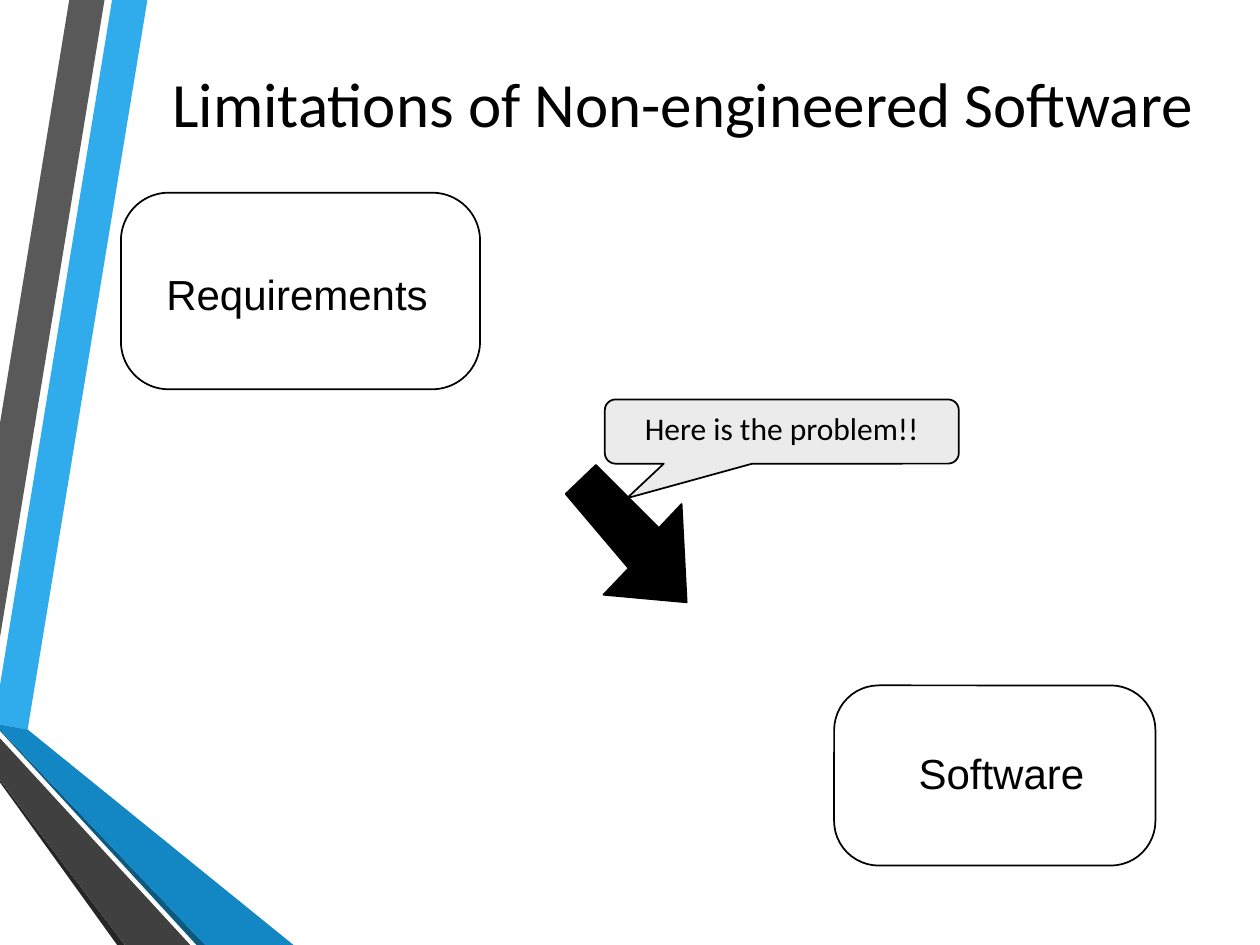
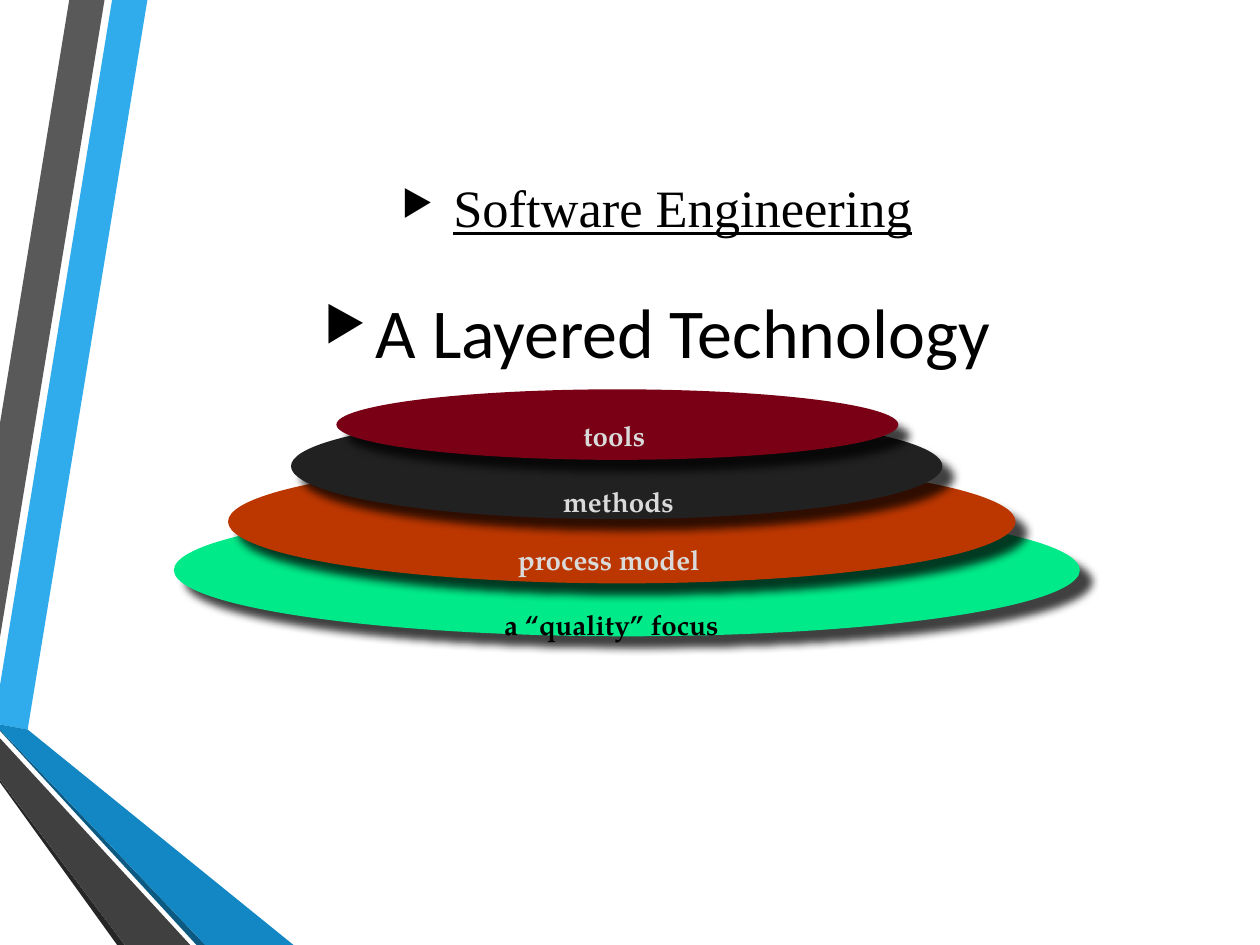
from lxml import etree
from pptx import Presentation
from pptx.dml.color import RGBColor
from pptx.enum.shapes import MSO_SHAPE as SHAPE
from pptx.enum.text import MSO_ANCHOR as ANCHOR, MSO_AUTO_SIZE as AUTO, PP_ALIGN as ALIGN
from pptx.oxml import parse_xml
from pptx.oxml.ns import nsdecls, qn
from pptx.util import Inches, Pt

COLORS = {
    "black": "000000", "white": "FFFFFF", "callout": "EBEBEB", "label": "DADADA",
    "sky": "30ACEC", "blue": "1287C3", "navy": "0C5A82",
    "gray": "595959", "charcoal": "404040", "coal": "262626",
    "green": "01EA89", "orange": "BC3700", "ink": "212121", "maroon": "790015",
}
BANDS = [
    ("sky", [(0, 5.44), (0, 5.75), (0.22, 5.79), (1.17, 0), (0.89, 0)]),
    ("gray", [(0.83, 0), (0.55, 0), (0, 3.36), (0, 5.06)]),
    ("coal", [(0, 6.19), (0, 6.21), (0.93, 7.5), (0.99, 7.5)]),
    ("navy", [(0, 5.79), (0, 5.8), (1.56, 7.5), (1.63, 7.5)]),
    ("blue", [(0, 5.79), (1.63, 7.5), (2.33, 7.5), (0.22, 5.79), (0, 5.75)]),
    ("charcoal", [(0, 6.19), (0.99, 7.5), (1.51, 7.5), (0, 5.86)]),
]
ARROW = [(0, 0.23), (0.24, 0), (0.74, 0.5), (0.92, 0.31), (0.96, 1.09), (0.3, 1.03), (0.5, 0.82)]


def rgb(name):
    """Look up a palette colour."""
    return RGBColor.from_string(COLORS[name])


def inches(*values):
    """Convert several lengths at once."""
    return [Inches(v) for v in values]


def paint(sp, fill, line=None):
    """Give a shape a flat fill and an optional thin outline."""
    sp.shadow.inherit = False
    sp.fill.solid()
    sp.fill.fore_color.rgb = rgb(fill)
    if line:
        sp.line.color.rgb = rgb(line)
        sp.line.width = Pt(1)
    else:
        sp.line.fill.background()
    return sp


def shape(s, kind, box, fill, line=None, adj=()):
    """Add a painted preset shape."""
    sp = paint(s.shapes.add_shape(kind, *inches(*box)), fill, line)
    for i, value in enumerate(adj):
        sp.adjustments[i] = value
    return sp


def polygon(s, points, fill, x=0, y=0, line=None):
    """Add a closed outline whose points are measured from x, y."""
    start, *rest = [inches(x + px, y + py) for px, py in points]
    builder = s.shapes.build_freeform(*start)
    builder.add_line_segments(rest, close=True)
    return paint(builder.convert_to_shape(), fill, line)


def add_bullet(p):
    """Give a paragraph a black triangle bullet and a hanging indent."""
    pPr = p._p.get_or_add_pPr()
    pPr.set("marL", str(Inches(0.41)))
    pPr.set("indent", str(Inches(-0.41)))
    clr = etree.SubElement(pPr, qn("a:buClr"))
    etree.SubElement(clr, qn("a:srgbClr"), val=COLORS["black"])
    etree.SubElement(pPr, qn("a:buSzPct"), val="68000")
    etree.SubElement(pPr, qn("a:buChar"), char="▶")


def write(sp, text, size=18, font="Calibri", color="black", bold=False, underline=False,
          align=ALIGN.LEFT, anchor=ANCHOR.TOP, wrap=True, margins=(0.1, 0.05, 0.1, 0.05),
          spacing=None, bullet=False):
    """Write one formatted paragraph into a shape."""
    tf = sp.text_frame
    tf.auto_size, tf.word_wrap, tf.vertical_anchor = AUTO.NONE, wrap, anchor
    tf.margin_left, tf.margin_top, tf.margin_right, tf.margin_bottom = inches(*margins)
    p = tf.paragraphs[0]
    if bullet:
        add_bullet(p)
    p.alignment = align
    if spacing:
        p.line_spacing = spacing
    r = p.add_run()
    r.text = text
    f = r.font
    f.size, f.name, f.bold, f.underline = Pt(size), font, bold, underline
    f.color.rgb = rgb(color)


def text_box(s, box, text, **fmt):
    """Add an unwrapped text box."""
    write(s.shapes.add_textbox(*inches(*box)), text, wrap=False, **fmt)


def new_slide(prs, title, box, **fmt):
    """Add a slide with the side bands and a centred title."""
    s = prs.slides.add_slide(prs.slide_layouts[5])
    for fill, points in BANDS:
        polygon(s, points, fill)
    sp = s.shapes.title
    sp.left, sp.top, sp.width, sp.height = inches(*box)
    write(sp, title, align=ALIGN.CENTER, **fmt)
    return s


def stage(s, x, y, w, h, text, label, adj):
    """Draw a rounded stage with its label box, given relative to the stage."""
    shape(s, SHAPE.ROUNDED_RECTANGLE, (x, y, w, h), "white", "black", [adj])
    dx, dy, lw, lh = label
    text_box(s, (x + dx, y + dy, lw, lh), text, size=24, font="Arial",
             margins=(0.02, 0.03, 0.02, 0.03), spacing=Pt(28))


def problem_arrow(s, x, y):
    """Draw the arrow between the stages and its callout."""
    polygon(s, ARROW, "black", x, y, line="black")
    sp = shape(s, SHAPE.ROUNDED_RECTANGULAR_CALLOUT, (x + 0.31, y - 0.52, 2.81, 0.51),
               "callout", "black", (-0.437, 1.037, 0.167))
    write(sp, "Here is the problem!!", align=ALIGN.CENTER)


def add_shadow(sp):
    """Cast a soft shadow to the lower right."""
    effects = sp._element.spPr.find(qn("a:effectLst"))
    effects.append(parse_xml(
        f'<a:outerShdw {nsdecls("a")} blurRad="{Pt(5)}" dist="{Pt(8.5)}" dir="2700000" '
        f'algn="ctr" rotWithShape="0"><a:srgbClr val="{COLORS["black"]}">'
        '<a:alpha val="75000"/></a:srgbClr></a:outerShdw>'))


def layer_stack(s, x, y):
    """Stack the four discs from bottom to top, then label them."""
    layers = [
        ((0, 0.91, 7.19, 1.05), "green", "a “quality” focus", (2.54, 1.69, 1.95), "black"),
        ((0.43, 0.56, 6.25, 0.98), "orange", "process model", (2.65, 1.18, 1.74), "label"),
        ((0.93, 0.19, 5.17, 0.84), "ink", "methods", (3.01, 0.72, 1.09), "label"),
        ((1.29, 0, 4.46, 0.56), "maroon", "tools", (3.17, 0.19, 0.7), "label"),
    ]
    for (dx, dy, w, h), fill, *_ in layers:
        add_shadow(shape(s, SHAPE.OVAL, (x + dx, y + dy, w, h), fill))
    for _, _, text, (dx, dy, w), color in layers:
        text_box(s, (x + dx, y + dy, w, 0.35), text, size=15.9, font="TeX Gyre Pagella",
                 color=color, bold=True, margins=(0.08, 0.04, 0.08, 0.04))


def limitations_slide(prs):
    """Show the gap between requirements and software."""
    s = new_slide(prs, "Limitations of Non-engineered Software", (0.96, 0.29, 8.92, 1.04),
                  size=36, anchor=ANCHOR.MIDDLE)
    stage(s, 0.96, 1.53, 2.85, 1.56, "Requirements", (0.34, 0.58, 2.3, 0.62), 0.243)
    stage(s, 6.62, 5.44, 2.55, 1.43, "Software", (0.65, 0.47, 1.59, 0.52), 0.248)
    problem_arrow(s, 4.49, 3.69)


def layers_slide(prs):
    """Show software engineering as stacked layers."""
    s = new_slide(prs, "A Layered Technology", (1.72, 2.22, 6.99, 0.72), size=40,
                  margins=(0.06, 0.07, 0.06, 0.02), bullet=True)
    text_box(s, (3.08, 1.36, 4.27, 0.53), "Software Engineering", size=30,
             font="Times New Roman", underline=True, align=ALIGN.CENTER, spacing=0.9,
             margins=(0.08, 0.09, 0.08, 0.04), bullet=True)
    layer_stack(s, 1.38, 3.09)


def main():
    """Build and save the slides."""
    prs = Presentation()
    prs.slide_width, prs.slide_height = inches(10, 7.5)
    limitations_slide(prs)
    layers_slide(prs)
    prs.save("out.pptx")


if __name__ == "__main__":
    main()
